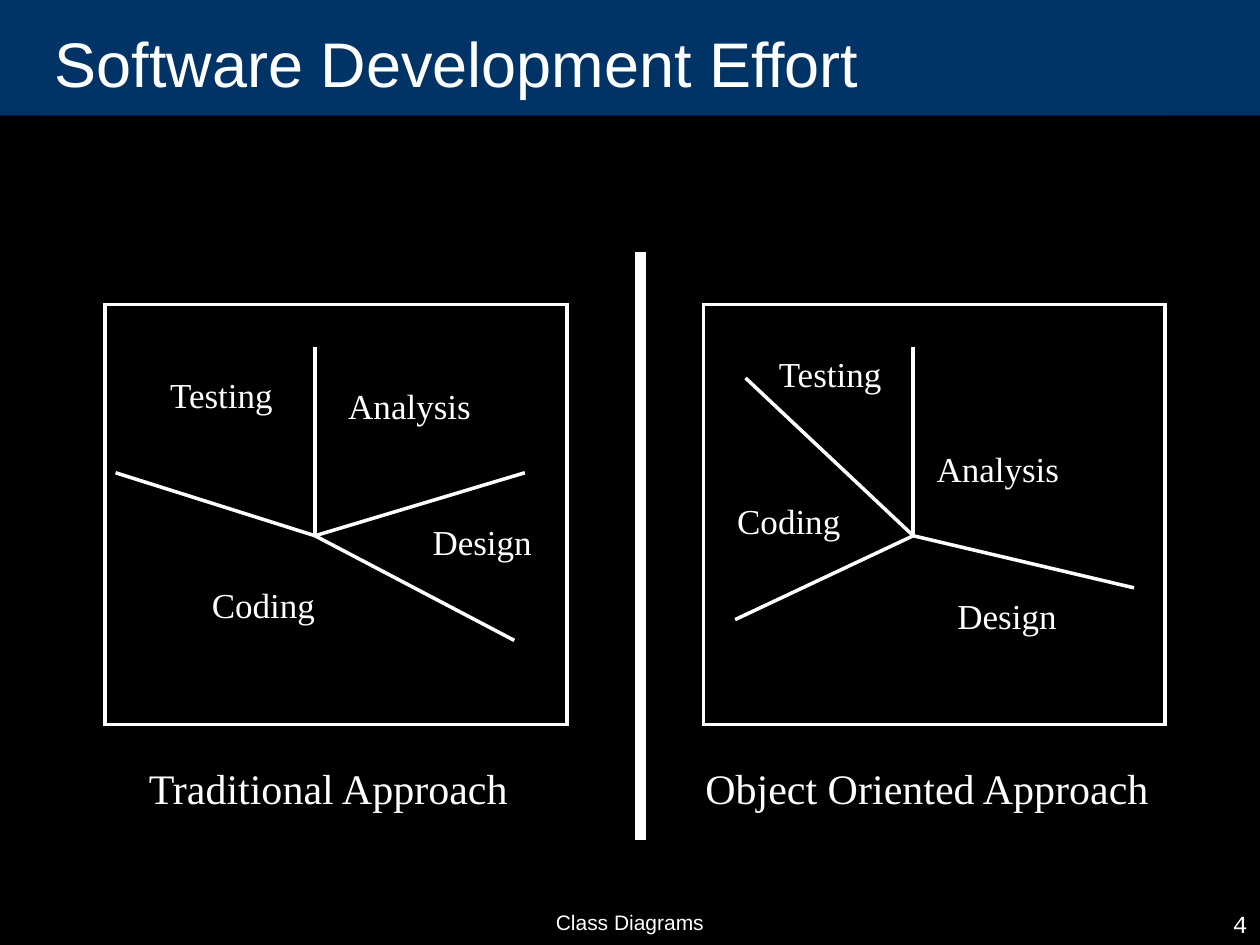
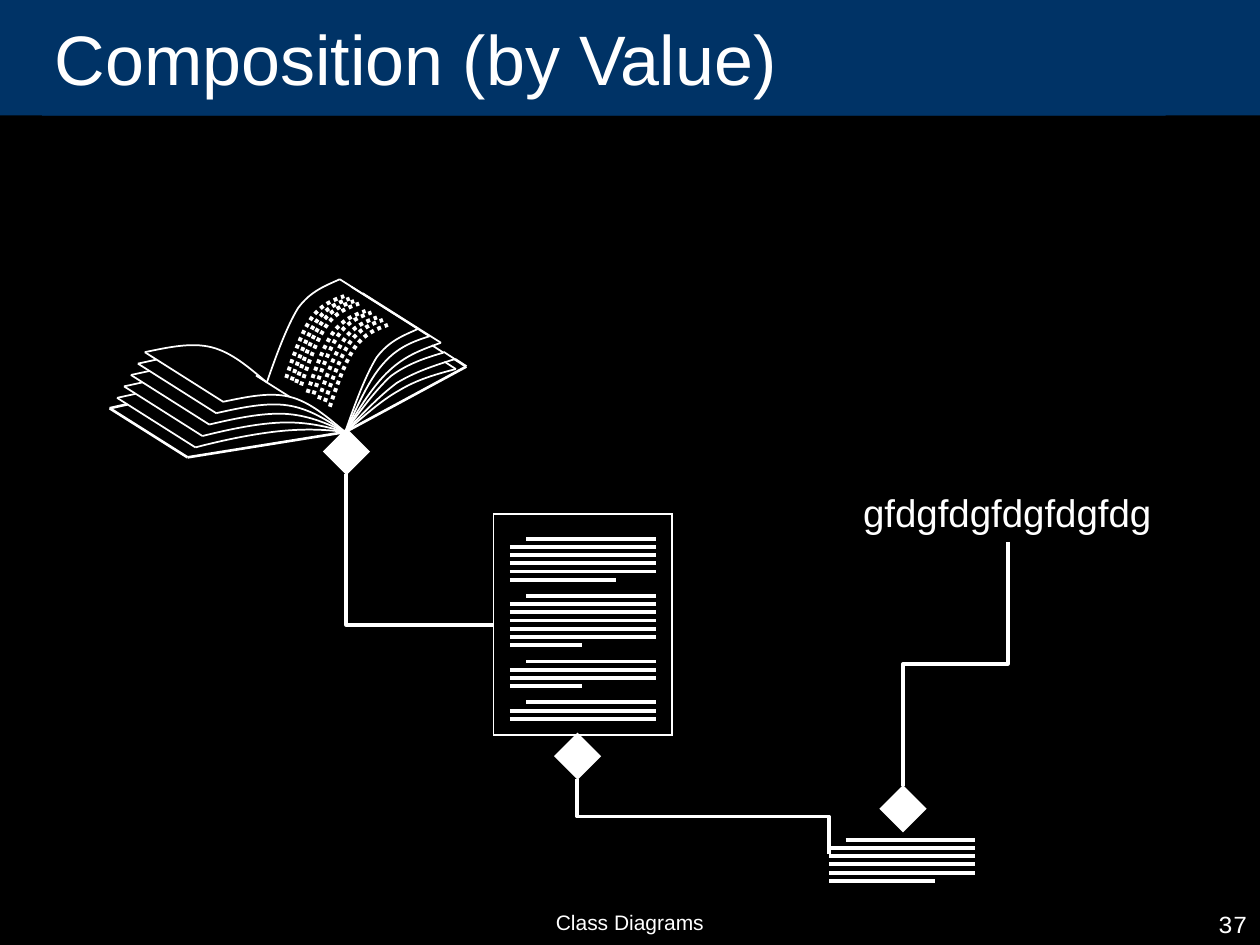
"""Build two class diagram slides: development effort and composition by value."""
from itertools import pairwise

from lxml.etree import SubElement
from pptx import Presentation
from pptx.dml.color import RGBColor
from pptx.enum.dml import MSO_LINE
from pptx.enum.shapes import MSO_CONNECTOR, MSO_SHAPE
from pptx.enum.text import MSO_ANCHOR, MSO_AUTO_SIZE, PP_ALIGN
from pptx.oxml.ns import qn
from pptx.util import Cm, Pt

WHITE = RGBColor.from_string("FFFFFF")
NAVY = RGBColor.from_string("003366")
BLACK = RGBColor.from_string("000000")


def write_text(shape, text, size, font="Arial", align=PP_ALIGN.LEFT, wrap=True, anchor=MSO_ANCHOR.TOP):
    """Put one formatted white paragraph into a shape."""
    frame = shape.text_frame
    frame.text = text
    frame.auto_size = MSO_AUTO_SIZE.NONE
    frame.word_wrap = wrap
    frame.vertical_anchor = anchor
    paragraph = frame.paragraphs[0]
    paragraph.alignment = align
    paragraph.font.size = Pt(size)
    paragraph.font.name = font
    paragraph.font.color.rgb = WHITE


def draw_line(slide, points, width, dash=None, kind=MSO_CONNECTOR.STRAIGHT):
    """Draw a connector through two points or two joined curves through seven control points."""
    places = [(Cm(x), Cm(y)) for x, y in points]
    if len(places) == 2:
        line = slide.shapes.add_connector(kind, *places[0], *places[1])
        SubElement(line._element.spPr, qn("a:effectLst"))
    else:
        builder = slide.shapes.build_freeform(*places[0])
        builder.add_line_segments(places[1:], close=False)
        line = builder.convert_to_shape()
        line.fill.background()
        line.shadow.inherit = False
        outline = next(line._element.iter(qn("a:path")))
        segments = outline.findall(qn("a:lnTo"))
        for half in (segments[:3], segments[3:]):
            curve = SubElement(outline, qn("a:cubicBezTo"))
            for segment in half:
                curve.append(segment[0])
                outline.remove(segment)
    line.line.color.rgb = WHITE
    line.line.width = Pt(width)
    if dash:
        line.line.dash_style = dash
    return line


presentation = Presentation()
presentation.slide_width = Cm(25.4)
presentation.slide_height = Cm(19.05)
background = presentation.slide_master.background.fill
background.solid()
background.fore_color.rgb = BLACK

for heading, number, size, top, height in [
    ("Software Development Effort", "4", 36, 0.19, 2.13),
    ("Composition (by Value)", "37", 40, 0, 2.33),
]:
    slide = presentation.slides.add_slide(presentation.slide_layouts[5])
    band = slide.shapes.add_shape(MSO_SHAPE.RECTANGLE, 0, 0, Cm(25.4), Cm(2.33))
    band.shadow.inherit = False
    band.line.fill.background()
    slide.shapes._spTree.insert(2, band._element)
    title = slide.shapes.title
    title.left, title.top, title.width, title.height = Cm(0.85), Cm(top), Cm(22.65), Cm(height)
    for shape in (band, title):
        shape.fill.solid()
        shape.fill.fore_color.rgb = NAVY
    write_text(title, heading, size, anchor=MSO_ANCHOR.MIDDLE)
    footer = slide.shapes.add_textbox(Cm(8.68), Cm(18.22), Cm(8.04), Cm(0.85))
    write_text(footer, "Class Diagrams", 12, align=PP_ALIGN.CENTER)
    page_number = slide.shapes.add_textbox(Cm(20.11), Cm(18.2), Cm(5.29), Cm(0.85))
    write_text(page_number, number, 14, font="Courier New", align=PP_ALIGN.RIGHT)

effort_slide, composition_slide = presentation.slides

for slide, kind, left, top, width, height, line_width in [
    (effort_slide, MSO_SHAPE.RECTANGLE, 2.12, 6.14, 9.31, 8.47, 2),
    (effort_slide, MSO_SHAPE.RECTANGLE, 14.18, 6.14, 9.31, 8.47, 2),
    (composition_slide, MSO_SHAPE.RECTANGLE, 9.95, 10.37, 3.6, 4.45, 1),
    (composition_slide, MSO_SHAPE.FLOWCHART_DECISION, 6.56, 8.68, 0.85, 0.85, 2),
    (composition_slide, MSO_SHAPE.FLOWCHART_DECISION, 11.22, 14.82, 0.85, 0.85, 2),
    (composition_slide, MSO_SHAPE.FLOWCHART_DECISION, 17.78, 15.88, 0.85, 0.85, 2),
]:
    shape = slide.shapes.add_shape(kind, Cm(left), Cm(top), Cm(width), Cm(height))
    shape.shadow.inherit = False
    if kind == MSO_SHAPE.RECTANGLE:
        shape.fill.background()
    else:
        shape.fill.solid()
        shape.fill.fore_color.rgb = WHITE
    shape.line.color.rgb = WHITE
    shape.line.width = Pt(line_width)
    SubElement(shape._element.spPr.find(qn("a:ln")), qn("a:miter"), lim="800000")

phase_widths = {"Analysis": 2.97, "Design": 2.51, "Coding": 2.59, "Testing": 2.62}
approaches = [
    ("Traditional Approach", 2.75, 7.82, (6.35, 10.8),
     [(2.33, 9.53), (10.58, 9.53), (6.35, 6.99), (10.37, 12.91)],
     [(6.77, 7.62), (8.47, 10.37), (4.02, 11.64), (3.18, 7.41)]),
    ("Object Oriented Approach", 13.97, 9.47, (18.41, 10.8),
     [(18.41, 6.99), (15.03, 7.62), (22.86, 11.85), (14.82, 12.49)],
     [(18.63, 8.89), (19.05, 11.85), (14.61, 9.95), (15.45, 6.99)]),
]
for caption, caption_left, caption_width, hub, spokes, label_places in approaches:
    for spoke in spokes:
        draw_line(effort_slide, [hub, spoke], 2)
    for (phase, width), (left, top) in zip(phase_widths.items(), label_places):
        label = effort_slide.shapes.add_textbox(Cm(left), Cm(top), Cm(width), Cm(1.09))
        write_text(label, phase, 20, font="Times New Roman", wrap=False)
    label = effort_slide.shapes.add_textbox(Cm(caption_left), Cm(15.24), Cm(caption_width), Cm(1.27))
    write_text(label, caption, 24, font="Times New Roman", wrap=False)
draw_line(effort_slide, [(12.91, 5.08), (12.91, 16.93)], 6)

spine = (6.96, 8.71)
edge_x, edge_y = -1.58, -1.0
left_top_page = [(6.6, 8.41), (6.25, 8.1), (5.84, 8), (5.44, 7.9), (4.98, 8), (4.5, 8.1)]
left_bottom_page = [(6.58, 8.66), (6.17, 8.64), (5.66, 8.69), (5.16, 8.74), (4.55, 8.86), (3.94, 9.02)]
right_pages = [
    [(7.16, 8.13), (7.37, 7.57), (7.59, 7.21), (7.85, 6.86), (8.15, 6.76), (8.43, 6.63)],
    [(7.21, 8.18), (7.44, 7.65), (7.72, 7.34), (8, 7.01), (8.33, 6.88), (8.66, 6.78)],
    [(7.24, 8.23), (7.54, 7.75), (7.85, 7.47), (8.18, 7.16), (8.53, 7.04), (8.89, 6.91)],
    [(7.26, 8.28), (7.57, 7.87), (7.87, 7.59), (8.2, 7.34), (8.59, 7.21), (8.94, 7.11)],
    [(7.32, 8.33), (7.65, 7.98), (8, 7.72), (8.38, 7.49), (8.76, 7.37), (9.17, 7.24)],
    [(7.32, 8.41), (7.67, 8.08), (8.05, 7.87), (8.41, 7.65), (8.81, 7.54), (9.19, 7.44)],
]
cover = [(2.57, 8.15), (2.21, 8.23), (3.78, 9.22), spine, (9.4, 7.39), (9.17, 7.24)]
for ends in pairwise(cover):
    draw_line(composition_slide, ends, 1.5)

for index in range(5):
    page = [spine] + [
        (x1 + (x2 - x1) * index / 4, y1 + (y2 - y1) * index / 4)
        for (x1, y1), (x2, y2) in zip(left_top_page, left_bottom_page)]
    end_x, end_y = page[-1]
    corner = (end_x + edge_x, end_y + edge_y)
    draw_line(composition_slide, page, 1)
    draw_line(composition_slide, [page[-1], corner], 1)
    if index:
        draw_line(composition_slide, [corner, (corner[0] + 0.37, corner[1] - 0.08)], 1)

for index, page in enumerate(right_pages):
    end_x, end_y = page[-1]
    shift_x, shift_y = (edge_x, edge_y) if index < 3 else (-0.23, -0.15)
    draw_line(composition_slide, [spine] + page, 1)
    draw_line(composition_slide, [page[-1], (end_x + shift_x, end_y + shift_y)], 1)

for page in (left_top_page, right_pages[0]):
    draw_line(composition_slide, [(x + edge_x, y + edge_y) for x, y in [spine] + page], 1)
draw_line(composition_slide, [(5.16, 7.57), (5.84, 8)], 1)

print_curve = [(0, 0), (0.15, -0.46), (0.31, -0.91), (0.5, -1.19), (0.69, -1.47), (0.94, -1.57), (1.17, -1.65)]
print_starts = [(5.77, 7.62), (5.88, 7.67), (5.97, 7.72), (6.07, 7.77), (6.2, 7.92),
                (6.32, 7.95), (6.43, 8.05), (6.55, 8.1), (6.65, 8.2)]
for left, top in print_starts:
    draw_line(composition_slide, [(left + x, top + y) for x, y in print_curve], 2.25, MSO_LINE.ROUND_DOT)

row_pitch, full_width, indent = 0.165, 2.94, 0.33
sheet_paragraphs = [(0, 6, 2.13), (7, 7, 1.45), (15, 4, 1.45), (20, 3, full_width)]
text_blocks = [(10.28, 10.86 + row * row_pitch, rows, last) for row, rows, last in sheet_paragraphs]
text_blocks.append((16.72, 16.93, 6, 2.13))
for left, top, rows, last_width in text_blocks:
    for row in range(rows):
        start = left + (indent if row == 0 else 0)
        end = left + (last_width if row == rows - 1 else full_width)
        y = top + row * row_pitch
        draw_line(composition_slide, [(start, y), (end, y)], 2.25)

for ends, degrees, preset in [
    ([(6.98, 9.55), (9.95, 12.6)], 180, "bentConnector2"),
    ([(14.94, 13.92), (13.41, 19)], 270, "bentConnector3"),
    ([(16.8, 12.33), (21.72, 14.44)], 90, "bentConnector3"),
]:
    elbow = draw_line(composition_slide, ends, 2, kind=MSO_CONNECTOR.ELBOW)
    properties = elbow._element.spPr
    properties.find(qn("a:xfrm")).set("rot", str(degrees * 60000))
    properties.find(qn("a:prstGeom")).set("prst", preset)

sentence = composition_slide.shapes.add_textbox(Cm(17.15), Cm(9.73), Cm(6.35), Cm(1.19))
write_text(sentence, "gfdgfdgfdgfdgfdg", 22, wrap=False)

presentation.save("out.pptx")
